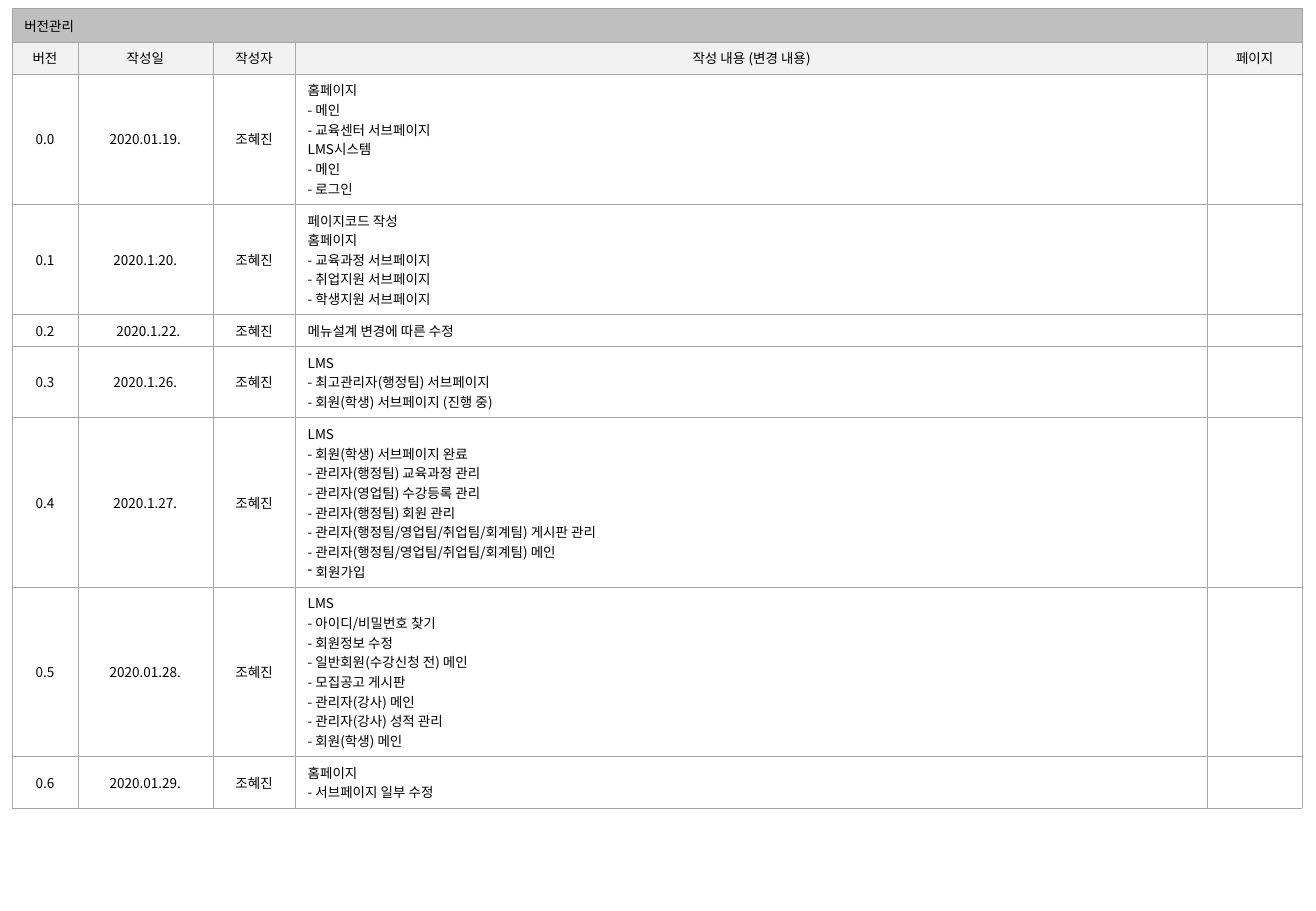
"""Build the version history slide of a web planning deck."""
from dataclasses import dataclass

from lxml.etree import SubElement
from pptx import Presentation
from pptx.dml.color import RGBColor
from pptx.enum.text import MSO_ANCHOR, PP_ALIGN
from pptx.oxml.ns import qn
from pptx.table import Table, _Cell
from pptx.text.text import _Paragraph
from pptx.util import Length, Pt


@dataclass(frozen=True)
class Theme:
    font: str = "Noto Sans CJK KR"
    size: Length = Pt(8)
    text: str = "000000"
    title: str = "BFBFBF"
    header: str = "F2F2F2"
    body: str = "FFFFFF"
    border: str = "A6A6A6"
    border_width: Length = Pt(0.25)


@dataclass(frozen=True)
class Revision:
    version: str
    date: str
    lines: tuple[str, ...]
    bulleted: tuple[str, ...] = ()
    date_shift: Length = Pt(0)


THEME = Theme()
AUTHOR = "조혜진"
TITLE = "버전관리"
HEADERS = ("버전", "작성일", "작성자", "작성 내용 (변경 내용)", "페이지")
COLUMN_WIDTHS = (39, 80, 49, 540.6, 56)
TITLE_HEIGHT = 20
LINE_HEIGHT = 11.65
SIDE_MARGIN = Pt(7.2)
ROW_PADDING = 7.2
BULLET_INDENT = Pt(4.75)

REVISIONS = (
    Revision("0.0", "2020.01.19.", (
        "홈페이지", "- 메인", "- 교육센터 서브페이지", "LMS시스템", "- 메인", "- 로그인")),
    Revision("0.1", "2020.1.20.", (
        "페이지코드 작성", "홈페이지", "- 교육과정 서브페이지", "- 취업지원 서브페이지",
        "- 학생지원 서브페이지")),
    Revision("0.2", "2020.1.22.", ("메뉴설계 변경에 따른 수정",), date_shift=Pt(3.6)),
    Revision("0.3", "2020.1.26.", (
        "LMS", "- 최고관리자(행정팀) 서브페이지", "- 회원(학생) 서브페이지 (진행 중)")),
    Revision("0.4", "2020.1.27.", (
        "LMS", "- 회원(학생) 서브페이지 완료", "- 관리자(행정팀) 교육과정 관리",
        "- 관리자(영업팀) 수강등록 관리", "- 관리자(행정팀) 회원 관리",
        "- 관리자(행정팀/영업팀/취업팀/회계팀) 게시판 관리",
        "- 관리자(행정팀/영업팀/취업팀/회계팀) 메인"), bulleted=("회원가입",)),
    Revision("0.5", "2020.01.28.", (
        "LMS", "- 아이디/비밀번호 찾기", "- 회원정보 수정", "- 일반회원(수강신청 전) 메인",
        "- 모집공고 게시판", "- 관리자(강사) 메인", "- 관리자(강사) 성적 관리",
        "- 회원(학생) 메인")),
    Revision("0.6", "2020.01.29.", ("홈페이지", "- 서브페이지 일부 수정")),
)


def row_height(line_count: int) -> Length:
    """Return the height of a row that holds the given number of lines."""
    return Pt(line_count * LINE_HEIGHT + ROW_PADDING)


def style_cell(cell: _Cell, fill: str, anchor: MSO_ANCHOR) -> None:
    """Give a cell its borders, fill, anchor and empty-text size."""
    properties = cell._tc.get_or_add_tcPr()
    for side in ("a:lnL", "a:lnR", "a:lnT", "a:lnB"):
        line = SubElement(properties, qn(side), w=str(THEME.border_width))
        solid = SubElement(line, qn("a:solidFill"))
        SubElement(solid, qn("a:srgbClr"), val=THEME.border)
    cell.fill.solid()
    cell.fill.fore_color.rgb = RGBColor.from_string(fill)
    cell.vertical_anchor = anchor
    cell.margin_left = cell.margin_right = SIDE_MARGIN
    cell.margin_top = cell.margin_bottom = Pt(ROW_PADDING / 2)
    para = cell.text_frame.paragraphs[0]
    SubElement(para._p, qn("a:endParaRPr"), sz=str(int(THEME.size.pt * 100)))


def add_span(para: _Paragraph, text: str) -> None:
    """Add one run in the theme font."""
    span = para.add_run()
    span.text = text
    span.font.name = THEME.font
    span.font.size = THEME.size
    span.font.color.rgb = RGBColor.from_string(THEME.text)
    SubElement(span._r.get_or_add_rPr(), qn("a:ea"), typeface=THEME.font)


def add_dash_bullet(para: _Paragraph) -> None:
    """Give a paragraph a hanging dash bullet."""
    properties = para._p.get_or_add_pPr()
    properties.set("marL", str(BULLET_INDENT))
    properties.set("indent", str(-BULLET_INDENT))
    SubElement(properties, qn("a:buChar"), char="-")


def write_lines(cell: _Cell, lines: tuple[str, ...], align: PP_ALIGN,
                bulleted: tuple[str, ...] = ()) -> None:
    """Write plain lines and then bulleted lines, one paragraph each."""
    frame = cell.text_frame
    for index, text in enumerate(lines + bulleted):
        para = frame.add_paragraph() if index else frame.paragraphs[0]
        para.alignment = align
        if index >= len(lines):
            add_dash_bullet(para)
        add_span(para, text)


def fill_headings(table: Table) -> None:
    """Fill the title row and the header row."""
    for column, label in enumerate(HEADERS):
        style_cell(table.cell(0, column), THEME.title, MSO_ANCHOR.MIDDLE)
        header = table.cell(1, column)
        style_cell(header, THEME.header, MSO_ANCHOR.TOP)
        write_lines(header, (label,), PP_ALIGN.CENTER)
    title = table.cell(0, 0)
    title.merge(table.cell(0, len(HEADERS) - 1))
    write_lines(title, (TITLE,), PP_ALIGN.LEFT)
    table.rows[0].height = Pt(TITLE_HEIGHT)
    table.rows[1].height = row_height(1)


def fill_revision(table: Table, row: int, revision: Revision) -> None:
    """Fill one row with a revision and leave its page cell empty."""
    table.rows[row].height = row_height(len(revision.lines + revision.bulleted))
    cells = [table.cell(row, column) for column in range(len(HEADERS))]
    for cell in cells:
        style_cell(cell, THEME.body, MSO_ANCHOR.MIDDLE)
    for cell, text in zip(cells, (revision.version, revision.date, AUTHOR)):
        write_lines(cell, (text,), PP_ALIGN.CENTER)
    cells[1].margin_left = SIDE_MARGIN + revision.date_shift
    write_lines(cells[3], revision.lines, PP_ALIGN.LEFT, revision.bulleted)


def main() -> None:
    """Build the deck and save it."""
    deck = Presentation()
    deck.slide_width, deck.slide_height = Pt(780), Pt(540)
    page = deck.slides.add_slide(deck.slide_layouts[6])
    table = page.shapes.add_table(
        len(REVISIONS) + 2, len(HEADERS), Pt(7.2), Pt(5),
        Pt(sum(COLUMN_WIDTHS)), Pt(474)).table
    table.first_row = table.horz_banding = False
    for column, width in zip(table.columns, COLUMN_WIDTHS):
        column.width = Pt(width)
    fill_headings(table)
    for row, revision in enumerate(REVISIONS, start=2):
        fill_revision(table, row, revision)
    deck.save("out.pptx")


if __name__ == "__main__":
    main()
